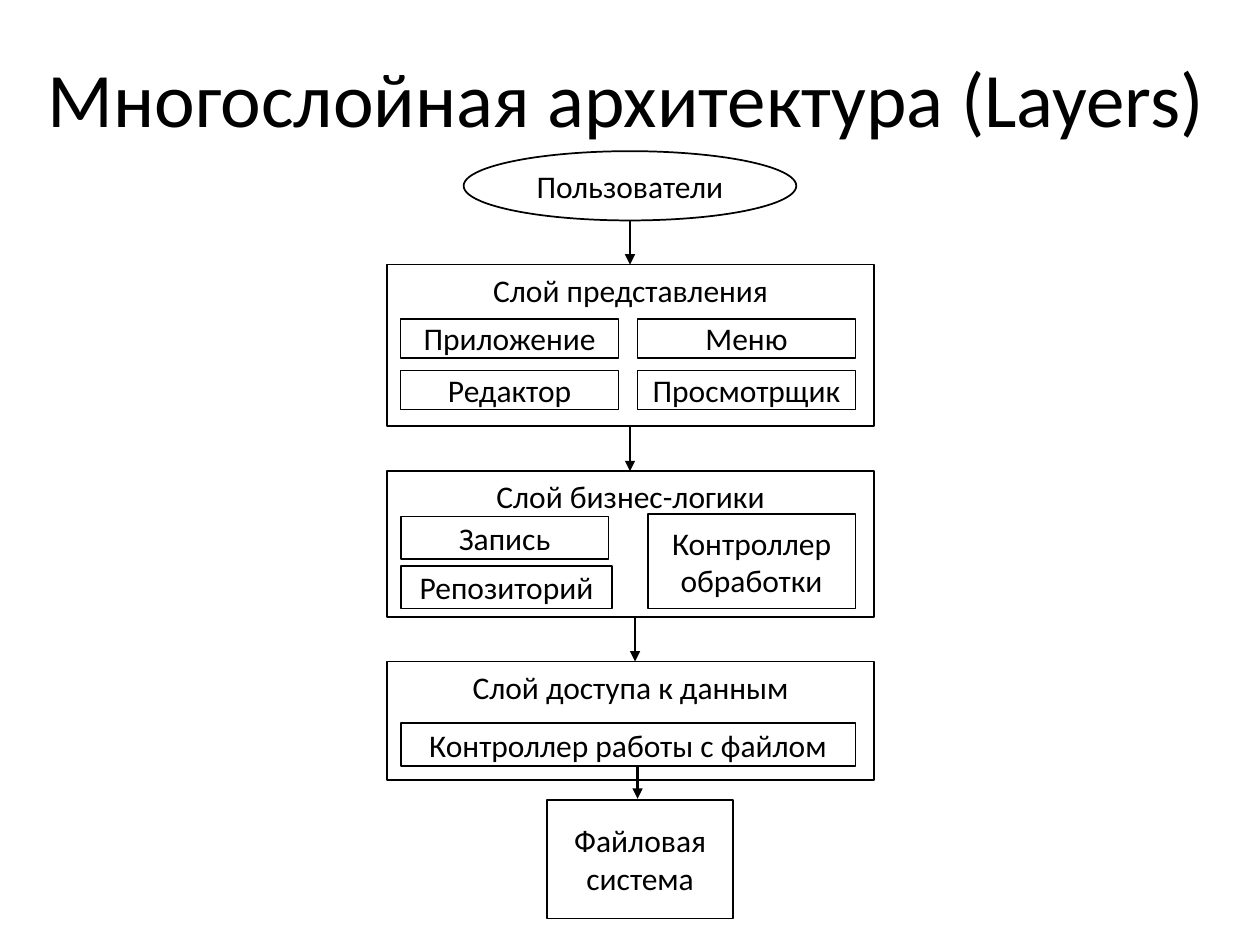
from lxml import etree
from pptx import Presentation
from pptx import util as u
from pptx.dml.color import RGBColor
from pptx.enum import shapes, text
from pptx.oxml.ns import qn

COLORS = {"ink": "000000", "paper": "FFFFFF"}
FONT = "Calibri"
RECT, OVAL = shapes.MSO_SHAPE.RECTANGLE, shapes.MSO_SHAPE.OVAL
TOP, MIDDLE = text.MSO_ANCHOR.TOP, text.MSO_ANCHOR.MIDDLE
CENTER, LEFT = text.PP_ALIGN.CENTER, text.PP_ALIGN.LEFT

# Columns of the diagram, in inches
LAYER_X, LAYER_W = 3.07, 3.87
INNER_X, INNER_W = 3.18, 3.61
INNER_R = INNER_X + INNER_W
CELL_W, CELL_H = 1.73, 0.31
PART_W, PART_H = 1.65, 0.34
AXIS = 5


def color(name):
    return RGBColor.from_string(COLORS[name])


def set_format(obj, values):
    for name, value in values.items():
        setattr(obj, name, value)


def write(sp, words, size=18, anchor=MIDDLE, align=CENTER, spacing=1.0):
    tf = sp.text_frame
    set_format(tf, {"word_wrap": True, "vertical_anchor": anchor})
    p = tf.paragraphs[0]
    set_format(p, {"alignment": align, "line_spacing": spacing})
    r = p.add_run()
    r.text = words
    set_format(r.font, {"name": FONT, "size": u.Pt(size)})
    r.font.color.rgb = color("ink")


def add_title(s, words):
    sp = s.shapes.add_textbox(*map(u.Inches, (0.28, 0.09, 9.6, 1.45)))
    write(sp, words, size=44, align=LEFT, spacing=0.9)


def add_box(s, words, x, y, w, h, kind=RECT, anchor=MIDDLE):
    sp = s.shapes.add_shape(kind, *map(u.Inches, (x, y, w, h)))
    sp.shadow.inherit = False
    sp.fill.solid()
    sp.fill.fore_color.rgb = color("paper")
    sp.line.color.rgb = color("ink")
    sp.line.width = u.Pt(1)
    write(sp, words, anchor=anchor)


def add_layer(s, words, y, h):
    add_box(s, words, LAYER_X, y, LAYER_W, h, anchor=TOP)


def add_arrow(s, x, y1, y2):
    sp = s.shapes.add_connector(shapes.MSO_CONNECTOR.STRAIGHT,
                                *map(u.Inches, (x, y1, x, y2)))
    sp.line.color.rgb = color("ink")
    sp.line.width = u.Pt(1.5)
    etree.SubElement(sp.line._get_or_add_ln(), qn("a:tailEnd"), type="triangle")
    etree.SubElement(sp._element.spPr, qn("a:effectLst"))


def main():
    prs = Presentation()
    set_format(prs, {"slide_width": u.Inches(10), "slide_height": u.Inches(7.5)})
    s = prs.slides.add_slide(prs.slide_layouts[6])
    add_title(s, "Многослойная архитектура (Layers)")

    # Users
    add_box(s, "Пользователи", AXIS - 1.32, 1.2, 2.64, 0.55, kind=OVAL)

    # Presentation layer: two by two cells
    add_layer(s, "Слой представления", 2.1, 1.28)
    cells = [["Приложение", "Меню"], ["Редактор", "Просмотрщик"]]
    for y, row in zip((2.53, 2.94), cells):
        for x, words in zip((INNER_X, INNER_R - CELL_W), row):
            add_box(s, words, x, y, CELL_W, CELL_H)

    # Business logic layer
    add_layer(s, "Слой бизнес-логики", 3.74, 1.16)
    add_box(s, "Запись", INNER_X, 4.1, PART_W, PART_H)
    add_box(s, "Репозиторий", INNER_X, 4.49, 1.68, PART_H)
    add_box(s, "Контроллер обработки", INNER_R - PART_W, 4.08, PART_W, 0.75)

    # Data access layer and file system
    add_layer(s, "Слой доступа к данным", 5.25, 0.94)
    add_box(s, "Контроллер работы с файлом", INNER_X, 5.74, INNER_W, PART_H)
    add_box(s, "Файловая система", 4.34, 6.35, 1.48, 0.94)

    # Arrows from each level to the next
    for x, y1, y2 in ((AXIS, 1.75, 2.1), (AXIS, 3.38, 3.74),
                      (5.04, 4.89, 5.25), (5.06, 6.07, 6.34)):
        add_arrow(s, x, y1, y2)

    prs.save("out.pptx")


if __name__ == "__main__":
    main()
